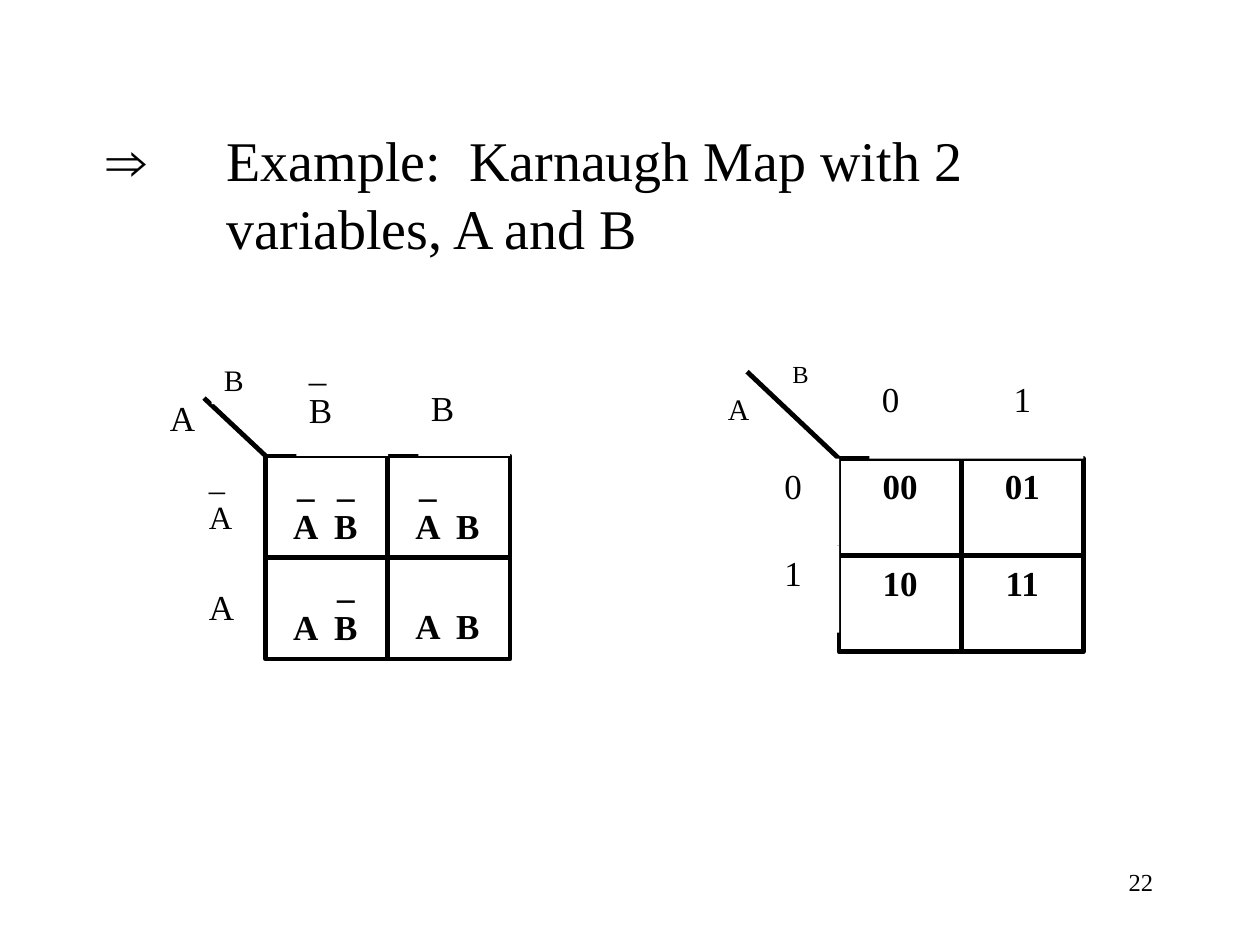
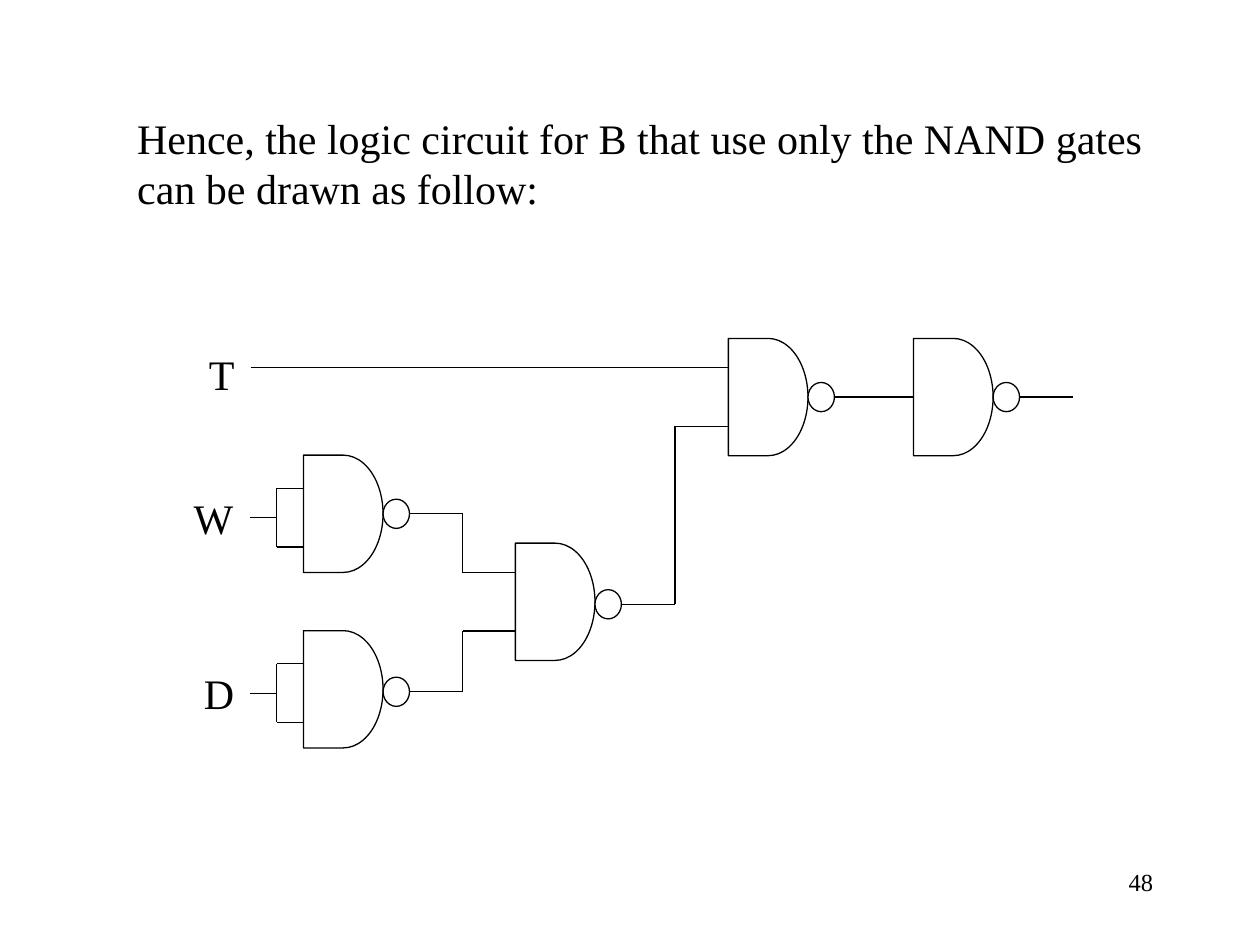
from itertools import pairwise

from lxml.etree import SubElement
from pptx import Presentation
from pptx.dml.color import RGBColor
from pptx.enum.shapes import MSO_CONNECTOR, MSO_SHAPE
from pptx.enum.text import MSO_ANCHOR, PP_ALIGN
from pptx.oxml.ns import qn
from pptx.util import Pt

BLACK = RGBColor(0x00, 0x00, 0x00)
WHITE = RGBColor(0xFF, 0xFF, 0xFF)
SERIF = "Times New Roman"
SANS = "Arial"
LEFT, CENTER, RIGHT = PP_ALIGN.LEFT, PP_ALIGN.CENTER, PP_ALIGN.RIGHT

MAP_LINE = 2.75
WIRE_LINE = 0.75
BAR_LINE = 23  # height of the line that holds the negation bars
LITERAL_CENTERS = (15.8, 38.6)  # centres of A and B inside a map cell

GATE_WIDTH, GATE_HEIGHT = 45.5, 67
BUBBLE_WIDTH, BUBBLE_HEIGHT = 15.1, 16.7


def write(shape, text, size=20, bold=False, align=LEFT, drop=0, wrap=True,
          centers=(), hanging=0, symbol=""):
    """Fill a shape with text; drop lowers it, centers are centred tab stops."""
    frame = shape.text_frame
    frame.word_wrap = wrap
    frame.vertical_anchor = MSO_ANCHOR.TOP
    frame.margin_left = frame.margin_right = Pt(7.2)
    frame.margin_top, frame.margin_bottom = Pt(3.6 + drop), Pt(3.6)
    for number, line in enumerate(text.split("\n")):
        paragraph = frame.add_paragraph() if number else frame.paragraphs[0]
        paragraph.alignment = align
        properties = paragraph._p.get_or_add_pPr()
        if hanging:
            properties.set("marL", str(Pt(hanging)))
            properties.set("indent", str(Pt(-hanging)))
        if centers:
            stops = SubElement(properties, qn("a:tabLst"))
            for center in centers:
                SubElement(stops, qn("a:tab"), pos=str(Pt(center)), algn="ctr")
        for content, face in ((symbol, SANS), (line, SERIF)):
            if content:
                run = paragraph.add_run()
                run.text = content
                run.font.name = face
                run.font.size = Pt(size)
                run.font.bold = bold
                run.font.color.rgb = BLACK


def add_text(slide, text, left, top, width, height, **style):
    box = slide.shapes.add_textbox(Pt(left), Pt(top), Pt(width), Pt(height))
    write(box, text, **style)


def add_figure(slide, kind, left, top, width, height, line_width=None):
    """Add a white shape, outlined in black when a line width is given."""
    figure = slide.shapes.add_shape(kind, Pt(left), Pt(top), Pt(width), Pt(height))
    figure.shadow.inherit = False
    figure.fill.solid()
    figure.fill.fore_color.rgb = WHITE
    if line_width:
        figure.line.color.rgb = BLACK
        figure.line.width = Pt(line_width)
    else:
        figure.line.fill.background()
    return figure


def add_path(slide, *points, line_width=WIRE_LINE):
    """Join the points with straight lines."""
    for (x1, y1), (x2, y2) in pairwise(points):
        segment = slide.shapes.add_connector(
            MSO_CONNECTOR.STRAIGHT, Pt(x1), Pt(y1), Pt(x2), Pt(y2))
        segment.line.color.rgb = BLACK
        segment.line.width = Pt(line_width)
        SubElement(segment._element.spPr, qn("a:effectLst"))


def add_page(deck, number):
    slide = deck.slides.add_slide(deck.slide_layouts[6])
    add_text(slide, number, 516, 492, 150, 36, size=14, align=RIGHT)
    return slide


def karnaugh_map(slide, left, top, cell_height, cells, corner, labels):
    """Draw a 2 x 2 map whose grid starts at left, top.

    The first label names the row variable and lies behind the diagonal.
    """
    cell_width = 69.8

    def add_label(text, x, y, width, height, **style):
        box = add_figure(slide, MSO_SHAPE.RECTANGLE, left + x, top + y, width, height)
        write(box, text, **style)

    for row, entries in enumerate(cells):
        for column, (text, style) in enumerate(entries):
            cell = add_figure(slide, MSO_SHAPE.RECTANGLE, left + column * cell_width,
                              top + row * cell_height, cell_width, cell_height, MAP_LINE)
            write(cell, text, bold=True, **style)

    (row_variable, row_style), *others = labels
    add_label(*row_variable, **row_style)
    add_path(slide, (left, top), (left + corner[0], top + corner[1]),
             line_width=MAP_LINE)
    for label, style in others:
        add_label(*label, **style)


def literal_map(slide, left, top):
    barred = dict(centers=LITERAL_CENTERS)
    cells = [
        [("\t_\t_\n\tA\tB", barred), ("\t_\n\tA\tB", barred)],
        [("\t\t_\n\tA\tB", barred), ("\tA\tB", dict(barred, drop=BAR_LINE))],
    ]
    labels = [
        (("A", -61.9, -37.4, 31.7, 31.7), {}),
        (("B", -31, -57.6, 29.5, 28), dict(size=17)),
        (("_\nB", 17.5, -66.2, 52.5, 66.2), {}),
        (("B", 87.2, -66.2, 52.5, 66.2), dict(drop=BAR_LINE)),
        (("_\nA", -39.6, -2.2, 31.7, 54), dict(size=18.5)),
        (("A", -39.6, 70.6, 33.8, 49.7), {}),
    ]
    karnaugh_map(slide, left, top, 58, cells, (-35.3, -33.1), labels)


def binary_map(slide, left, top):
    centered = dict(align=CENTER)
    cells = [[(f"{a}{b}", centered) for b in (0, 1)] for a in (0, 1)]
    side = 49.7
    labels = [
        (("A", -70.6, -42.5, 20.9, 28.8), dict(size=17, align=CENTER)),
        (("B", -33.8, -60.5, 27.4, 25.9), dict(size=14)),
        (("0", -52.6, 0, 52.6, side), centered),
        (("0", 17.3, -side, 52.6, side), {}),
        (("1", -52.6, side, 52.6, side), centered),
        (("1", 69.8, -side, 69.8, side), centered),
    ]
    karnaugh_map(slide, left, top, 55.2, cells, (-52.6, -side), labels)


def nand_gate(slide, left, top, drop=0):
    """Draw a gate and return its upper input, lower input and output points."""
    add_figure(slide, MSO_SHAPE.FLOWCHART_DELAY, left, top,
               GATE_WIDTH, GATE_HEIGHT, WIRE_LINE)
    middle = top + GATE_HEIGHT / 2 + drop
    add_figure(slide, MSO_SHAPE.FLOWCHART_CONNECTOR, left + GATE_WIDTH,
               middle - BUBBLE_HEIGHT / 2, BUBBLE_WIDTH, BUBBLE_HEIGHT, WIRE_LINE)
    return ((left, top + GATE_HEIGHT / 4), (left, top + GATE_HEIGHT * 3 / 4),
            (left + GATE_WIDTH + BUBBLE_WIDTH, middle))


def inverter(slide, left, top, drop=0):
    """Draw a gate with both inputs tied to one lead and return its output."""
    upper, lower, output = nand_gate(slide, left, top, drop)
    tie, shift = left - 15.2, 2.2
    add_path(slide, (left, upper[1] + shift), (tie, upper[1] + shift),
             (tie, lower[1] + shift), (left, lower[1] + shift))
    lead = top + GATE_HEIGHT / 2 + shift
    add_path(slide, (tie, lead), (tie - 15.2, lead))
    return output


def elbow(slide, start, bend, end):
    add_path(slide, start, (bend, start[1]), (bend, end[1]), end)


def nand_circuit(slide, left, top):
    w_output = inverter(slide, left + 30.2, top + 66.7)
    d_output = inverter(slide, left + 30.2, top + 167, drop=1.4)
    w_input, d_input, wd_output = nand_gate(slide, left + 151.3, top + 117, drop=1.4)
    t_input, wd_input, twd_output = nand_gate(slide, left + 273, top)
    _, _, b_output = nand_gate(slide, left + 378.8, top)

    elbow(slide, w_output, left + 121.3, w_input)
    elbow(slide, d_output, left + 121.3, d_input)
    elbow(slide, wd_output, left + 242.5, wd_input)
    add_path(slide, (left, t_input[1]), t_input)
    add_path(slide, twd_output, (left + 378.8, twd_output[1]))
    add_path(slide, b_output, (left + 470, b_output[1]))

    for name, x, y, width in (("T", -31, 2.5, 29), ("W", -39.7, 84.5, 36.7),
                              ("D", -33.8, 184.6, 31.7)):
        add_text(slide, name, left + x, top + y, width, 36,
                 size=24, align=CENTER, wrap=False)


def main():
    deck = Presentation()
    deck.slide_width, deck.slide_height = Pt(720), Pt(540)

    example = add_page(deck, "22")
    add_text(example, "Example:  Karnaugh Map with 2 variables, A and B",
             54, 68.4, 612, 108, size=32, hanging=68.4, symbol="⇒\t")
    binary_map(example, 479.5, 262.1)
    literal_map(example, 151.9, 260.6)

    circuit = add_page(deck, "48")
    add_text(circuit, "Hence, the logic circuit for B that use only the NAND gates "
             "can be drawn as follow:", 71.3, 60.5, 603.4, 64.8, size=24)
    nand_circuit(circuit, 143.2, 193.4)

    deck.save("out.pptx")


if __name__ == "__main__":
    main()
